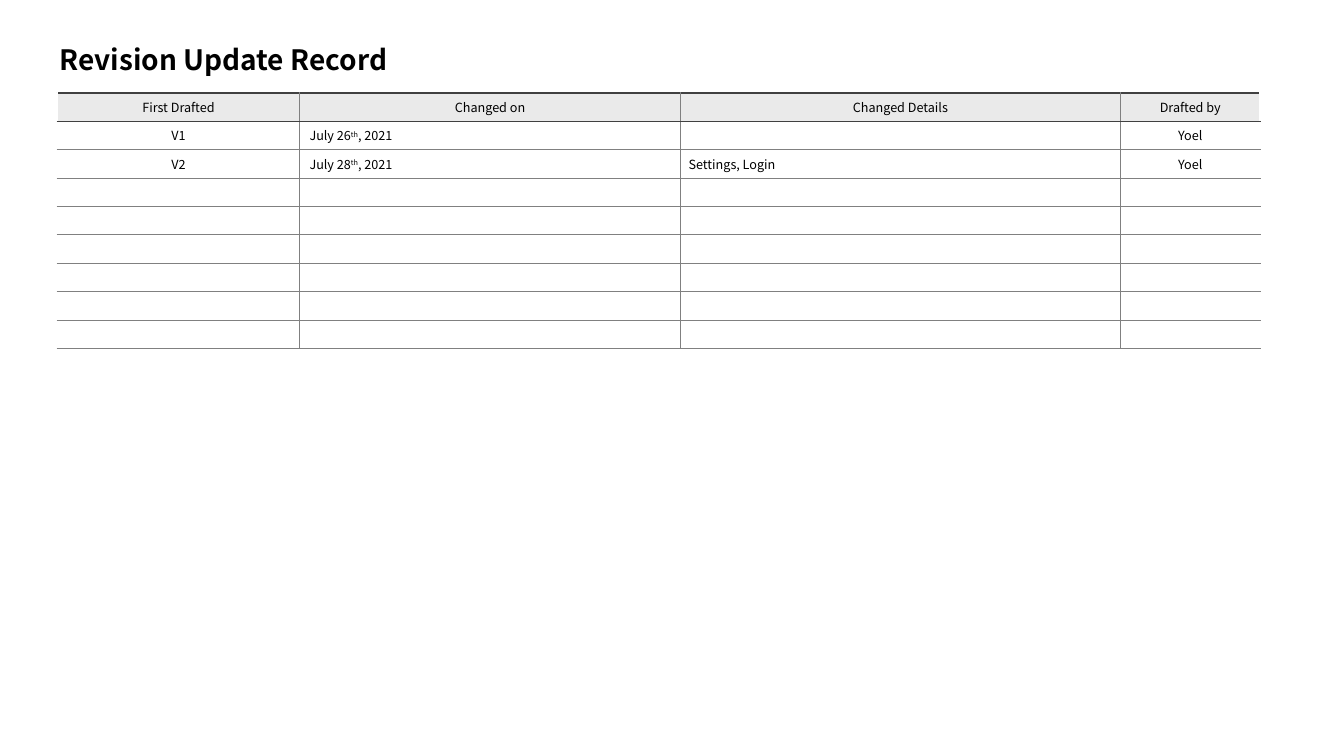
from lxml import etree
from pptx import Presentation
from pptx.dml.color import RGBColor
from pptx.enum import text
from pptx.oxml.ns import qn
from pptx.util import Inches, Pt

BLACK = RGBColor(0x00, 0x00, 0x00)
WHITE = RGBColor(0xFF, 0xFF, 0xFF)
HEADER_FILL = RGBColor(0xEA, 0xEA, 0xEA)
GRID = RGBColor(0x80, 0x80, 0x80)
HEADER_RULE = RGBColor(0x40, 0x40, 0x40)
FONT = "Noto Sans CJK KR"
BODY_SIZE = 9

COLUMN_WIDTHS = [2.4, 3.78, 4.36, 1.39]
ROW_COUNT, ROW_HEIGHT = 9, 0.28
LEFT_COLUMNS = (1, 2)
# Each cell is a list of spans; "th" is set as superscript
RECORDS = [
    [["First Drafted"], ["Changed on"], ["Changed Details"], ["Drafted by"]],
    [["V1"], ["July 26", "th", ", 2021"], [], ["Yoel"]],
    [["V2"], ["July 28", "th", ", 2021"], ["Settings, Login"], ["Yoel"]],
]


def set_font(font, size, bold=False):
    font.name, font.size, font.bold = FONT, Pt(size), bold
    font.color.rgb = BLACK


def add_title(page, left, top, width, height):
    title = page.shapes.title
    title.left, title.top = Inches(left), Inches(top)
    title.width, title.height = Inches(width), Inches(height)
    frame = title.text_frame
    frame.text = "Revision Update Record"
    frame.word_wrap = True
    frame.vertical_anchor = text.MSO_ANCHOR.BOTTOM
    para = frame.paragraphs[0]
    para.alignment = text.PP_ALIGN.LEFT
    set_font(para.font, 20, bold=True)


def set_border(cell, side, color, width):
    line = etree.SubElement(cell._tc.get_or_add_tcPr(), qn(f"a:ln{side}"), w=str(Pt(width)))
    fill = etree.SubElement(line, qn("a:solidFill"))
    etree.SubElement(fill, qn("a:srgbClr"), val=str(color))


def style_cell(cell, row, column):
    # Borders: open outer sides, dark rules around the header
    last = len(COLUMN_WIDTHS) - 1
    set_border(cell, "L", *((WHITE, 1.5) if column == 0 else (GRID, 0.75)))
    set_border(cell, "R", *((WHITE, 1.5) if column == last else (GRID, 0.75)))
    set_border(cell, "T", HEADER_RULE if row < 2 else GRID, 1.5 if row == 0 else 0.75)
    set_border(cell, "B", HEADER_RULE if row == 0 else GRID, 0.75)

    cell.fill.solid()
    cell.fill.fore_color.rgb = HEADER_FILL if row == 0 else WHITE
    cell.vertical_anchor = text.MSO_ANCHOR.MIDDLE
    cell.margin_left = cell.margin_right = Inches(0.08 if column == 2 else 0.1)
    cell.margin_top = cell.margin_bottom = Inches(0.05)


def fill_cell(cell, spans, centred):
    para = cell.text_frame.paragraphs[0]
    para.alignment = text.PP_ALIGN.CENTER if centred else text.PP_ALIGN.LEFT
    set_font(para.font, BODY_SIZE)
    for words in spans:
        span = para.add_run()
        span.text = words
        if words == "th":
            span.font._element.set("baseline", "30000")
    if not spans:  # keeps an empty row at its height
        etree.SubElement(para._p, qn("a:endParaRPr"), sz=str(BODY_SIZE * 100))


def add_record_table(page, left, top):
    frame = page.shapes.add_table(
        ROW_COUNT, len(COLUMN_WIDTHS), Inches(left), Inches(top),
        Inches(sum(COLUMN_WIDTHS)), Inches(ROW_COUNT * ROW_HEIGHT))
    table = frame.table
    table.horz_banding = False
    for column, width in zip(table.columns, COLUMN_WIDTHS):
        column.width = Inches(width)
    for row in range(ROW_COUNT):
        table.rows[row].height = Inches(ROW_HEIGHT)
        for column in range(len(COLUMN_WIDTHS)):
            cell = table.cell(row, column)
            spans = RECORDS[row][column] if row < len(RECORDS) else []
            style_cell(cell, row, column)
            fill_cell(cell, spans, row == 0 or column not in LEFT_COLUMNS)


def main():
    deck = Presentation()
    deck.slide_width, deck.slide_height = Inches(13.33), Inches(7.5)
    page = deck.slides.add_slide(deck.slide_layouts[5])
    add_record_table(page, 0.57, 0.92)
    add_title(page, 0.49, 0.36, 9.83, 0.45)
    deck.save("out.pptx")


if __name__ == "__main__":
    main()
